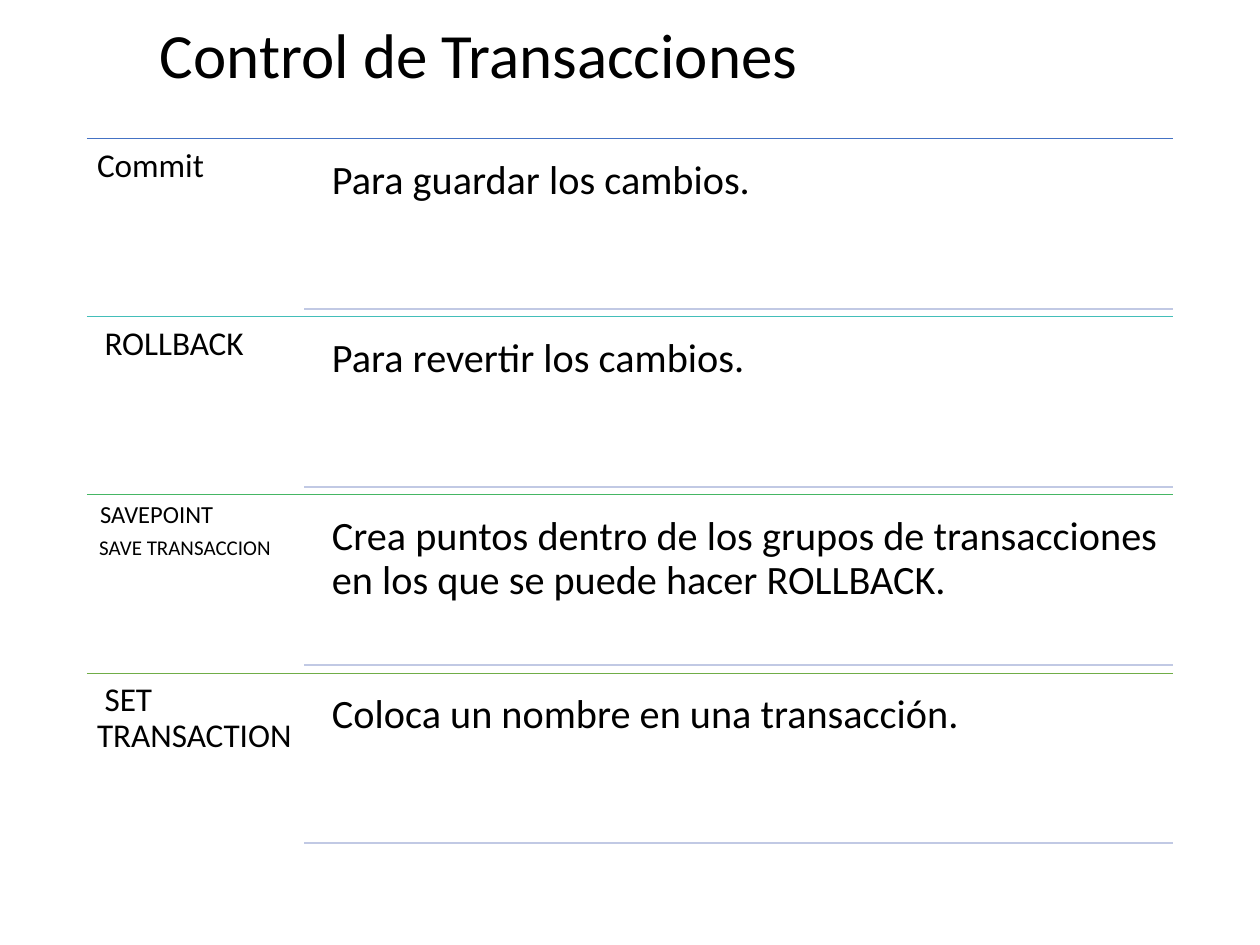
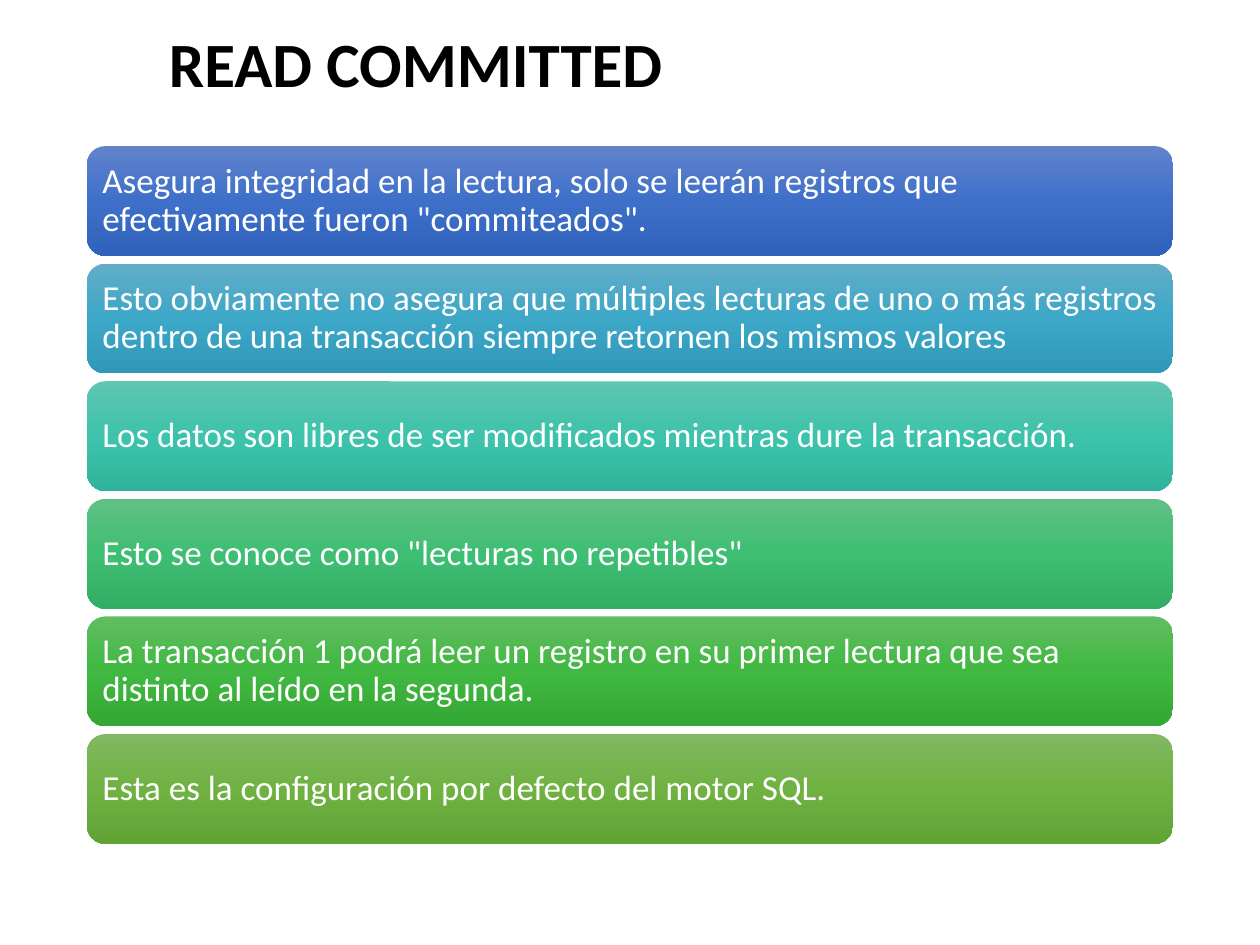
from copy import deepcopy

from pptx import Presentation
from pptx.dml.color import RGBColor
from pptx.enum.shapes import MSO_CONNECTOR, MSO_SHAPE
from pptx.enum.text import MSO_ANCHOR as Anchor, MSO_AUTO_SIZE as AutoSize, PP_ALIGN as Align
from pptx.oxml.ns import qn
from pptx.util import Pt

# Shared style, lengths in points
FONT = "Calibri"
BLACK, WHITE, RULE = "000000", "FFFFFF", "C1C9E4"
LEFT, RIGHT = 49.7, 670.3
TITLE_ONLY = 5
SPACE_WIDTH = 0.226  # width of one space, in ems

# Command rows: rule colour, label inset, label lines (text, size, indented), description
ROW_TOP, ROW_STEP = 79.2, 101.8
COMMANDS = [
    ("4472C4", 5.8, [("Commit", 19, False)], "Para guardar los cambios."),
    ("43BEB9", 5.8, [("ROLLBACK", 19, True)], "Para revertir los cambios."),
    ("45B664", 4.3, [("SAVEPOINT", 14, True), ("SAVE TRANSACCION", 12, True)],
     "Crea puntos dentro de los grupos de transacciones en los que se puede hacer ROLLBACK."),
    ("70AD47", 5.8, [("SET TRANSACTION", 19, True)], "Coloca un nombre en una transacción."),
]

# Isolation level bars: gradient from top to bottom, text
BAR_TOP, BAR_STEP, BAR_HEIGHT = 83.5, 67.2, 62.7
BARS = [
    (("6183CB", "3E70CA", "3062BB"),
     'Asegura integridad en la lectura, solo se leerán registros que efectivamente fueron "commiteados".'),
    (("61ADC8", "3DA7C7", "3098B8"),
     "Esto obviamente no asegura que múltiples lecturas de uno o más registros dentro de una "
     "transacción siempre retornen los mismos valores"),
    (("60C5B1", "3DC3AB", "30B39C"),
     "Los datos son libres de ser modificados mientras dure la transacción."),
    (("60C184", "3EBE73", "32AE65"), 'Esto se conoce como "lecturas no repetibles"'),
    (("61BD61", "40B841", "34A835"),
     "La transacción 1 podrá leer un registro en su primer lectura que sea distinto al leído en la segunda."),
    (("81B861", "6FB242", "62A336"), "Esta es la configuración por defecto del motor SQL."),
]


def rgb(code):
    return RGBColor.from_string(code)


def style_paragraph(paragraph, size, color, bold=False):
    paragraph.alignment = Align.LEFT
    paragraph.line_spacing = 0.9
    font = paragraph.font
    font.name, font.size, font.bold = FONT, Pt(size), bold
    font.color.rgb = rgb(color)


def set_frame(frame, inset, anchor):
    frame.word_wrap = True
    frame.auto_size = AutoSize.NONE
    frame.vertical_anchor = anchor
    frame.margin_left = frame.margin_right = Pt(inset)
    frame.margin_top = frame.margin_bottom = Pt(inset)


def add_titled_slide(deck, text, left, top, bold=False):
    slide = deck.slides.add_slide(deck.slide_layouts[TITLE_ONLY])
    title = slide.shapes.title
    title.left, title.top, title.width, title.height = Pt(left), Pt(top), Pt(561.6), Pt(43.9)
    title.text_frame.text = text
    title.text_frame.vertical_anchor = Anchor.MIDDLE
    title.text_frame.auto_size = AutoSize.NONE
    style_paragraph(title.text_frame.paragraphs[0], 36, BLACK, bold)
    return slide


def add_rule(slide, left, y, color, weight):
    rule = slide.shapes.add_connector(MSO_CONNECTOR.STRAIGHT, Pt(left), Pt(y), Pt(RIGHT), Pt(y))
    rule.line.color.rgb = rgb(color)
    rule.line.width = Pt(weight)
    properties = rule._element.spPr
    properties.append(properties.makeelement(qn("a:effectLst"), {}))


def add_text(slide, left, top, width, height, inset, lines):
    frame = slide.shapes.add_textbox(Pt(left), Pt(top), Pt(width), Pt(height)).text_frame
    set_frame(frame, inset, Anchor.TOP)
    for number, (text, size, indented) in enumerate(lines):
        paragraph = frame.add_paragraph() if number else frame.paragraphs[0]
        paragraph.text = text
        style_paragraph(paragraph, size, BLACK)
        paragraph.space_after = Pt(5)
        if indented:
            paragraph._p.get_or_add_pPr().set("indent", str(Pt(SPACE_WIDTH * size)))


def add_command(slide, top, color, inset, label, description):
    add_rule(slide, LEFT, top, color, 0.5)
    add_text(slide, LEFT, top, 124.2, ROW_STEP, inset, label)
    add_text(slide, 182.6, top + 4.8, 487.7, 92.4, 7.2, [(description, 23, False)])
    add_rule(slide, 173.8, top + 97.2, RULE, 1)


def fill_gradient(shape, colors):
    shape.fill.gradient()
    shape.fill.gradient_angle = 270
    stop_list = shape._element.spPr.find(".//" + qn("a:gsLst"))
    stop_list.insert(1, deepcopy(stop_list[0]))
    for stop, color, position in zip(shape.fill.gradient_stops, colors, (0, 0.5, 1)):
        stop.color.rgb = rgb(color)
        stop.position = position


def add_bar(slide, top, colors, text):
    bar = slide.shapes.add_shape(MSO_SHAPE.ROUNDED_RECTANGLE,
                                 Pt(LEFT), Pt(top), Pt(RIGHT - LEFT), Pt(BAR_HEIGHT))
    bar.shadow.inherit = False
    bar.line.fill.background()
    fill_gradient(bar, colors)
    # The rounded corners add about 3 points to the inset
    set_frame(bar.text_frame, 5.8, Anchor.MIDDLE)
    bar.text_frame.text = text
    style_paragraph(bar.text_frame.paragraphs[0], 20, WHITE)


def main():
    deck = Presentation()
    deck.slide_width, deck.slide_height = Pt(720), Pt(540)

    # Transaction control commands
    control = add_titled_slide(deck, "Control de Transacciones", 84.2, 11.5)
    for row, command in enumerate(COMMANDS):
        add_command(control, ROW_TOP + row * ROW_STEP, *command)

    # Read committed isolation level
    committed = add_titled_slide(deck, "READ COMMITTED", 89.3, 16.6, bold=True)
    for row, bar in enumerate(BARS):
        add_bar(committed, BAR_TOP + row * BAR_STEP, *bar)

    deck.save("out.pptx")


if __name__ == "__main__":
    main()
